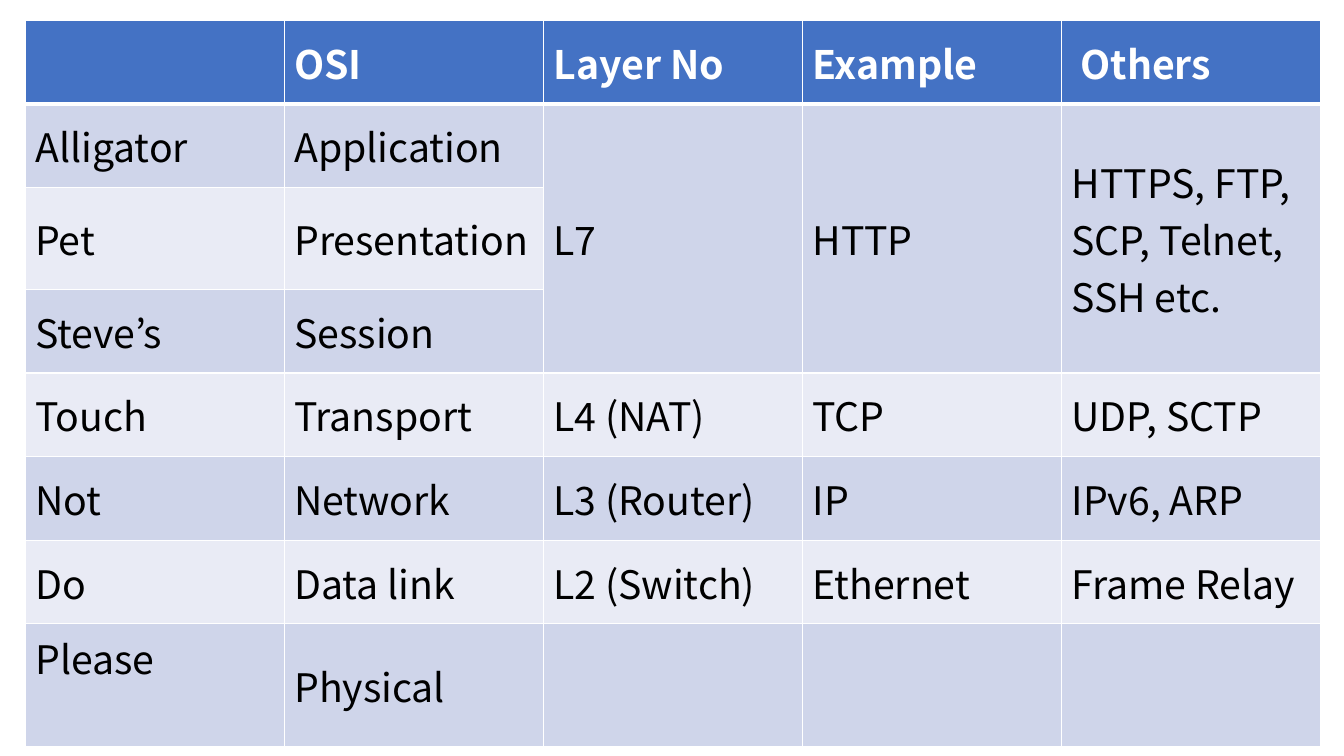
from dataclasses import dataclass

import pptx
import pptx.dml.color
import pptx.enum.text
import pptx.oxml
import pptx.oxml.ns
import pptx.util
from pptx.util import Inches


@dataclass(frozen=True)
class Theme:
    """Colours, font and sizes of the slide."""

    font: str = "Noto Sans CJK KR"
    text_size: int = 28
    header_fill: str = "4472C4"
    odd_fill: str = "CFD5EA"
    even_fill: str = "E9EBF5"
    header_text: str = "FFFFFF"
    body_text: str = "000000"
    border: str = "FFFFFF"
    thin: int = 1
    thick: int = 3


THEME = Theme()
COLUMN_WIDTH = 2.57
ROW_HEIGHTS = [0.83, 0.83, 1.01, 0.83, 0.83, 0.83, 0.83, 1.02]
MERGED_COLUMNS = (2, 3, 4)
MERGED_ROWS = (1, 3)
LAYERS = [
    ("", "OSI", "Layer No", "Example", " Others"),
    ("Alligator", "Application", "L7", "HTTP", "HTTPS, FTP, SCP, Telnet, SSH etc."),
    ("Pet", "Presentation", "", "", ""),
    ("Steve’s", "Session", "", "", ""),
    ("Touch", "Transport", "L4 (NAT)", "TCP", "UDP, SCTP"),
    ("Not", "Network", "L3 (Router)", "IP", "IPv6, ARP"),
    ("Do", "Data link", "L2 (Switch)", "Ethernet", "Frame Relay"),
    ("Please", "Physical", "", "", ""),
]


def colour(value):
    """Turn a hex string into a colour."""
    return pptx.dml.color.RGBColor.from_string(value)


def set_borders(cell, top, bottom):
    """Draw the four cell borders, with top and bottom widths in points."""
    properties = cell._tc.get_or_add_tcPr()
    widths = {"lnL": THEME.thin, "lnR": THEME.thin, "lnT": top, "lnB": bottom}
    for tag, width in widths.items():
        properties.append(pptx.oxml.parse_xml(
            f'<a:{tag} {pptx.oxml.ns.nsdecls("a")} w="{pptx.util.Pt(width)}">'
            f'<a:solidFill><a:srgbClr val="{THEME.border}"/></a:solidFill></a:{tag}>'
        ))


def row_fill(row):
    """Choose the fill of a row: header, odd band or even band."""
    if row == 0:
        return THEME.header_fill
    return THEME.odd_fill if row % 2 else THEME.even_fill


def format_cell(cell, row, text):
    """Write and style one table cell."""
    header = row == 0
    set_borders(
        cell,
        top=THEME.thick if row == 1 else THEME.thin,
        bottom=THEME.thick if header else THEME.thin,
    )
    cell.fill.solid()
    cell.fill.fore_color.rgb = colour(row_fill(row))
    cell.vertical_anchor = pptx.enum.text.MSO_ANCHOR.MIDDLE
    cell.text_frame.text = text
    paragraph = cell.text_frame.paragraphs[0]
    paragraph.font.size = pptx.util.Pt(THEME.text_size)
    for run in paragraph.runs:
        run.font.name = THEME.font
        run.font.size = pptx.util.Pt(THEME.text_size)
        run.font.bold = header
        run.font.color.rgb = colour(THEME.header_text if header else THEME.body_text)


def add_layer_table(slide):
    """Add the table of network layers."""
    columns = len(LAYERS[0])
    table = slide.shapes.add_table(
        len(LAYERS), columns, Inches(0.25), Inches(0.2),
        Inches(COLUMN_WIDTH * columns), Inches(sum(ROW_HEIGHTS)),
    ).table
    for column in table.columns:
        column.width = Inches(COLUMN_WIDTH)
    for row, height in zip(table.rows, ROW_HEIGHTS):
        row.height = Inches(height)
    first, last = MERGED_ROWS
    for column in MERGED_COLUMNS:
        table.cell(first, column).merge(table.cell(last, column))
    for row, texts in enumerate(LAYERS):
        for column, text in enumerate(texts):
            cell = table.cell(row, column)
            if not cell.is_spanned:
                format_cell(cell, row, text)
    table.cell(len(LAYERS) - 1, 0).margin_bottom = Inches(0.61)


def main():
    """Build the slide and save it."""
    presentation = pptx.Presentation()
    presentation.slide_width = Inches(13.33)
    presentation.slide_height = Inches(7.5)
    slide = presentation.slides.add_slide(presentation.slide_layouts[6])
    add_layer_table(slide)
    presentation.save("out.pptx")


if __name__ == "__main__":
    main()
